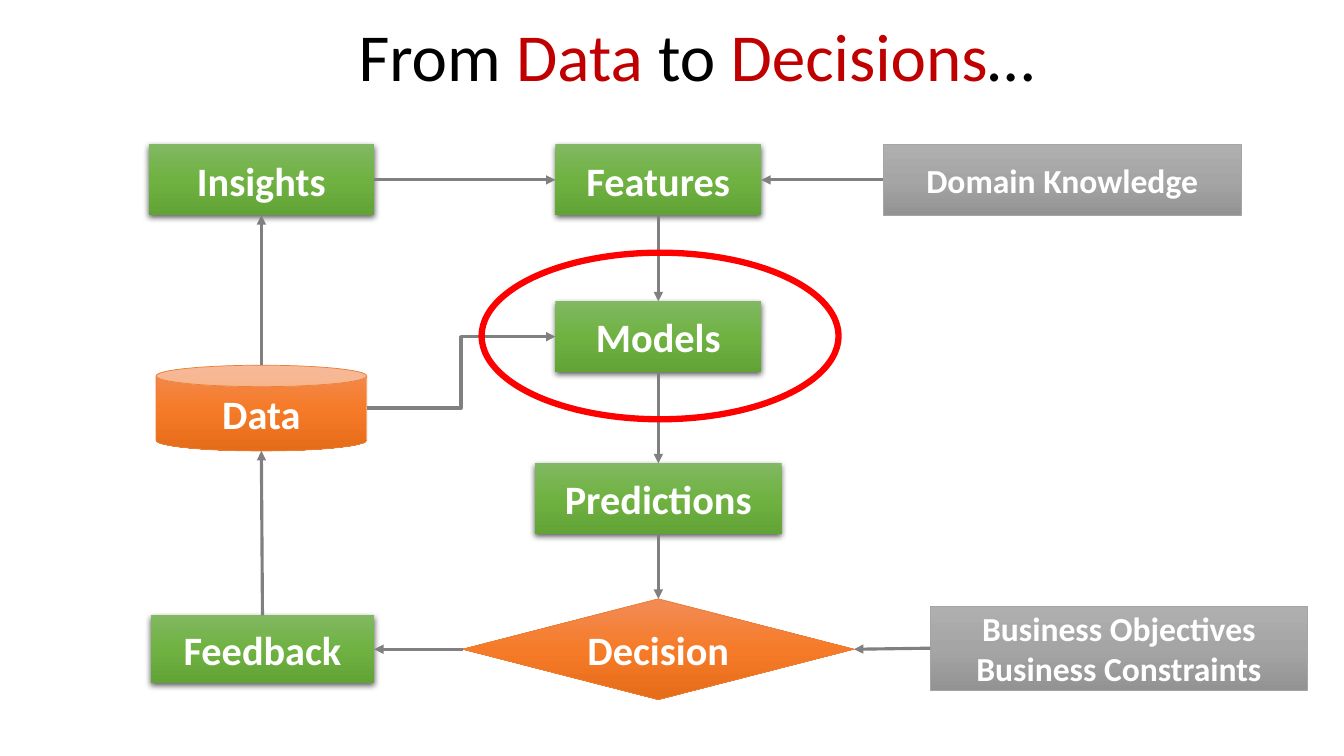
"""Build the "From Data to Decisions" flow chart slide."""
from copy import deepcopy

from lxml import etree
from pptx import Presentation
from pptx import util as u
from pptx.dml.color import RGBColor
from pptx.enum import shapes, text
from pptx.oxml import parse_xml
from pptx.oxml.ns import nsdecls, qn

COLOURS = {"black": "000000", "white": "FFFFFF", "accent": "C00000",
           "arrow": "808080", "highlight": "FF0000"}
STYLES = {
    "process": {"stops": ("81B861", "6FB242", "62A336"), "line": None, "size": 28.8},
    "core": {"stops": ("F18C57", "F67B28", "E56C19"), "line": "ED7D31", "size": 28.8},
    "input": {"stops": ("AFAFAF", "A5A5A5", "939393"), "line": "A5A5A5", "size": 24},
}
SHADOW = (f'<a:outerShdw {nsdecls("a")} blurRad="57150" dist="19050" dir="5400000" '
          'algn="ctr" rotWithShape="0"><a:srgbClr val="000000">'
          '<a:alpha val="63000"/></a:srgbClr></a:outerShdw>')
TOP, LEFT, BOTTOM, RIGHT = range(4)
KIND = shapes.MSO_SHAPE


def rgb(value):
    """Turn a hex string into a colour."""
    return RGBColor.from_string(value)


def assign(target, values):
    """Set every attribute named in a dict."""
    for name, value in values.items():
        setattr(target, name, value)


class FlowSlide:
    """Draw the elements of a flow chart in one style."""

    def __init__(self, deck, font="Calibri"):
        """Add a title-only slide to the deck."""
        self.font = font
        self.slide = deck.slides.add_slide(deck.slide_layouts[5])

    def add_words(self, paragraph, words, size, colour, bold=False):
        """Add one formatted run to a paragraph."""
        run = paragraph.add_run()
        run.text = words
        assign(run.font, {"name": self.font, "size": u.Pt(size), "bold": bold})
        run.font.color.rgb = rgb(COLOURS[colour])

    def title(self, parts):
        """Place the title and fill in its coloured parts."""
        title = self.slide.shapes.title
        assign(title, {"left": u.Pt(28), "top": u.Pt(3.6),
                       "width": u.Pt(906.5), "height": u.Pt(77.8)})
        assign(title.text_frame, {
            "margin_left": u.Pt(36), "margin_right": u.Pt(3.6),
            "margin_top": 0, "margin_bottom": 0, "word_wrap": True,
            "auto_size": text.MSO_AUTO_SIZE.NONE,
            "vertical_anchor": text.MSO_ANCHOR.MIDDLE})
        line = title.text_frame.paragraphs[0]
        assign(line, {"alignment": text.PP_ALIGN.CENTER, "line_spacing": 0.9})
        for words, colour in parts:
            self.add_words(line, words, 48, colour)

    def shape(self, kind, x, y, width, height):
        """Add a shape centred on a point."""
        shape = self.slide.shapes.add_shape(
            kind, u.Pt(x - width / 2), u.Pt(y - height / 2), u.Pt(width), u.Pt(height))
        shape.shadow.inherit = False
        return shape

    def node(self, style, lines, x, y, width, height=50.5, kind=KIND.RECTANGLE):
        """Add a labelled node with a vertical gradient."""
        look = STYLES[style]
        node = self.shape(kind, x, y, width, height)
        node.fill.gradient()
        node.fill.gradient_angle = 270
        stop_list = node._element.spPr.find(qn("a:gradFill")).find(qn("a:gsLst"))
        stop_list.insert(1, deepcopy(stop_list[0]))
        for stop, position, colour in zip(node.fill.gradient_stops, (0, 0.5, 1), look["stops"]):
            stop.position = position
            stop.color.rgb = rgb(colour)
        if look["line"]:
            node.line.color.rgb = rgb(look["line"])
            node.line.width = u.Pt(0.5)
        else:
            node.line.fill.background()
            node._element.spPr.find(qn("a:effectLst")).append(parse_xml(SHADOW))
        frame = node.text_frame
        assign(frame, {"word_wrap": True, "vertical_anchor": text.MSO_ANCHOR.MIDDLE})
        for index, words in enumerate(lines):
            paragraph = frame.add_paragraph() if index else frame.paragraphs[0]
            paragraph.alignment = text.PP_ALIGN.CENTER
            self.add_words(paragraph, words, look["size"], "white", bold=True)
        return node

    def arrow(self, start, start_side, end, end_side, kind=shapes.MSO_CONNECTOR.STRAIGHT):
        """Join the sides of two nodes with an arrow."""
        points = []
        for node, side in ((start, start_side), (end, end_side)):
            across = {LEFT: 0, RIGHT: node.width}.get(side, node.width // 2)
            down = {TOP: 0, BOTTOM: node.height}.get(side, node.height // 2)
            points += [node.left + across, node.top + down]
        arrow = self.slide.shapes.add_connector(kind, *points)
        if kind == shapes.MSO_CONNECTOR.STRAIGHT:
            for node, side, join in ((start, start_side, arrow.begin_connect),
                                     (end, end_side, arrow.end_connect)):
                if node.auto_shape_type != KIND.CAN:
                    join(node, side)
        arrow.line.color.rgb = rgb(COLOURS["arrow"])
        arrow.line.width = u.Pt(2.25)
        properties = arrow._element.spPr
        etree.SubElement(properties.find(qn("a:ln")), qn("a:tailEnd"), type="triangle")
        etree.SubElement(properties, qn("a:effectLst"))

    def ring(self, x, y, width, height):
        """Add an unfilled highlight ellipse."""
        ring = self.shape(KIND.OVAL, x, y, width, height)
        ring.fill.background()
        ring.line.color.rgb = rgb(COLOURS["highlight"])
        ring.line.width = u.Pt(4.5)


def main():
    """Build and save the slide."""
    deck = Presentation()
    assign(deck, {"slide_width": u.Pt(960), "slide_height": u.Pt(540)})
    flow = FlowSlide(deck)
    flow.title([("From ", "black"), ("Data ", "accent"), ("to ", "black"),
                ("Decisions", "accent"), ("…", "black")])

    data_x, model_x = 186.7, 470.25
    top_y, model_y, decision_y = 128.5, 240.5, 463.75
    insights = flow.node("process", ["Insights"], data_x, top_y, 161)
    features = flow.node("process", ["Features"], model_x, top_y, 147)
    models = flow.node("process", ["Models"], model_x, model_y, 147)
    predictions = flow.node("process", ["Predictions"], model_x, 356.25, 176)
    domain = flow.node("input", ["Domain Knowledge"], 758.75, top_y, 256)
    business = flow.node("input", ["Business Objectives", "Business Constraints"],
                         799.25, 463, 269.5, 60)
    feedback = flow.node("process", ["Feedback"], 187.5, decision_y, 159.5, 48.5)
    data = flow.node("core", ["Data"], data_x, 291.5, 150.5, 61.25, KIND.CAN)
    decision = flow.node("core", ["Decision"], model_x, decision_y, 279.5, 72, KIND.DIAMOND)

    for link in ((data, TOP, insights, BOTTOM),
                 (insights, RIGHT, features, LEFT),
                 (domain, LEFT, features, RIGHT),
                 (features, BOTTOM, models, TOP),
                 (data, RIGHT, models, LEFT, shapes.MSO_CONNECTOR.ELBOW),
                 (models, BOTTOM, predictions, TOP),
                 (predictions, BOTTOM, decision, TOP),
                 (business, LEFT, decision, RIGHT),
                 (decision, LEFT, feedback, RIGHT),
                 (feedback, TOP, data, BOTTOM)):
        flow.arrow(*link)
    flow.ring(471.5, 240, 255, 119)
    deck.save("out.pptx")


if __name__ == "__main__":
    main()
